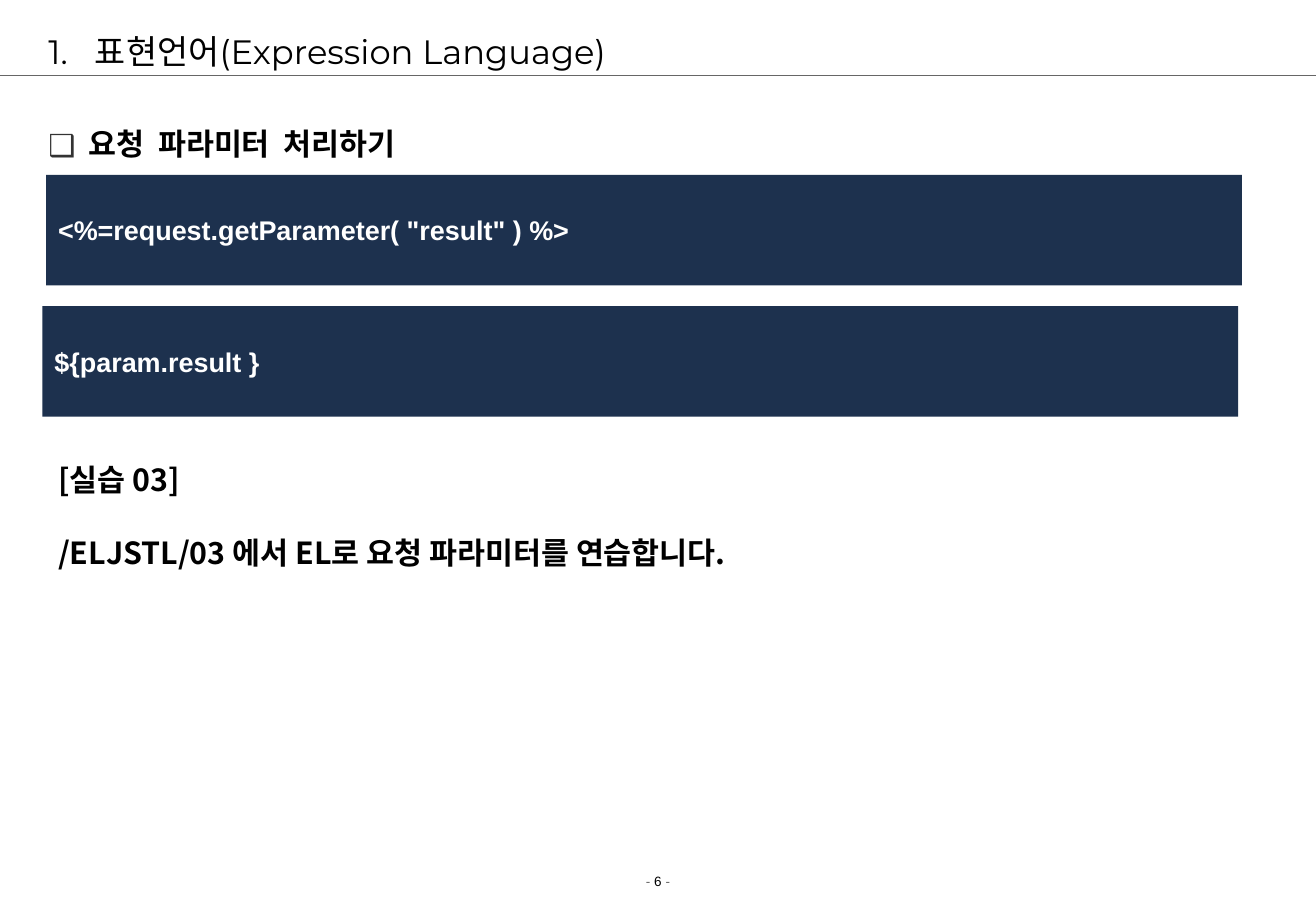
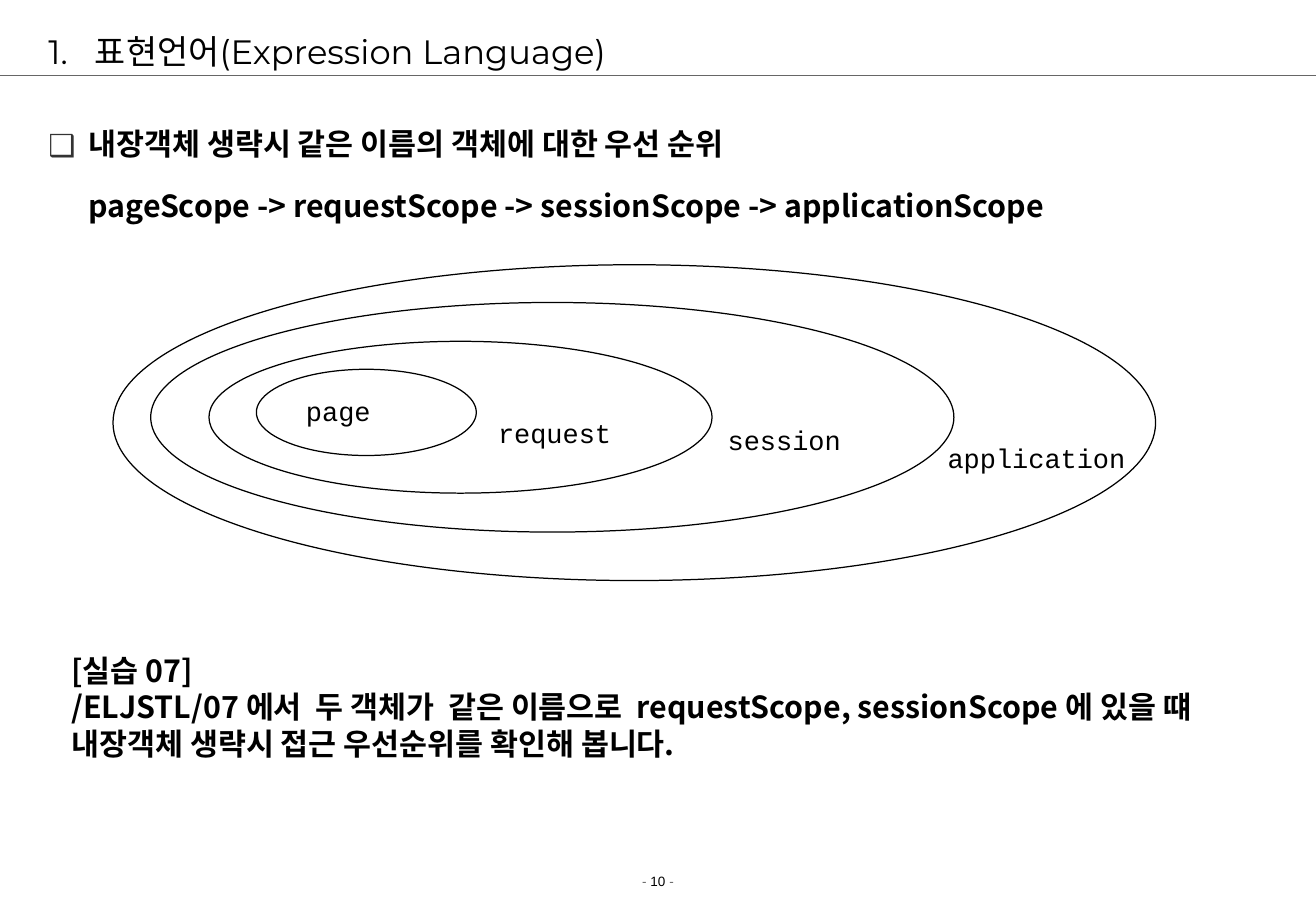
from dataclasses import dataclass

from lxml import etree
from pptx import Presentation
from pptx.dml.color import RGBColor
from pptx.enum.shapes import MSO_CONNECTOR, MSO_SHAPE
from pptx.enum.text import MSO_ANCHOR, PP_ALIGN
from pptx.oxml.ns import qn
from pptx.util import Inches, Pt

LINE = MSO_CONNECTOR.STRAIGHT
RECT, OVAL = MSO_SHAPE.RECTANGLE, MSO_SHAPE.OVAL
TOP, MIDDLE = MSO_ANCHOR.TOP, MSO_ANCHOR.MIDDLE
LEFT, CENTER = PP_ALIGN.LEFT, PP_ALIGN.CENTER


@dataclass(frozen=True)
class Theme:
    width: float = 10.83
    height: float = 7.5
    ink: str = "000000"
    grey: str = "666666"
    bullet: str = "333333"
    panel: str = "1D314E"
    white: str = "FFFFFF"
    hairline: float = 0.75

    def font(self, name, size, color=None, bold=False):
        return {"name": name, "size": Pt(size), "bold": bold, "color": color or self.ink}


T = Theme()
TITLE = T.font("Montserrat", 20)
BODY = T.font("Noto Sans CJK KR", 18, bold=True)
CODE = T.font("Arial", 16, T.white, True)
LABEL = T.font("Courier New", 16)
FOOTER = T.font("Arial", 8)
FOOTER_DASH = T.font("Arial", 8, T.grey)


def rgb(color):
    return RGBColor.from_string(color)


# Text helpers
def add_run(p, text, style):
    r = p.add_run()
    r.text = text
    for key, value in style.items():
        if key == "color":
            r.font.color.rgb = rgb(value)
        else:
            setattr(r.font, key, value)
    etree.SubElement(r.font._element, qn("a:ea"), typeface=style["name"])


def fill_text(tf, lines, style, anchor=TOP, align=LEFT, **spacing):
    """Write one paragraph per line; spacing holds paragraph attributes."""
    tf.word_wrap, tf.vertical_anchor = True, anchor
    for i, line in enumerate(lines):
        p = tf.add_paragraph() if i else tf.paragraphs[0]
        p.alignment = align
        for key, value in spacing.items():
            if i or key != "space_before":
                setattr(p, key, value)
        runs = [(line, style)] if isinstance(line, str) else line
        for text, run_style in runs:
            add_run(p, text, run_style)
    return tf


def add_text(s, box, lines, style, **options):
    sp = s.shapes.add_textbox(*map(Inches, box))
    return fill_text(sp.text_frame, lines, style, **options)


def set_indent(p, margin, bullet=None, color=T.ink):
    """Indent a paragraph; bullet is (tag, attributes) and hangs in the margin."""
    pPr = p._p.get_or_add_pPr()
    pPr.set("marL", str(Inches(margin)))
    pPr.set("indent", str(Inches(-margin if bullet else 0)))
    if bullet:
        tag, attributes = bullet
        clr = etree.SubElement(pPr, qn("a:buClr"))
        etree.SubElement(clr, qn("a:srgbClr"), val=color)
        etree.SubElement(pPr, qn("a:buFont"), typeface=BODY["name"])
        etree.SubElement(pPr, qn(tag), **attributes)


def add_shape(s, kind, box, fill=None, line=None):
    sp = s.shapes.add_shape(kind, *map(Inches, box))
    sp.shadow.inherit = False
    if fill:
        sp.fill.solid()
        sp.fill.fore_color.rgb = rgb(fill)
    else:
        sp.fill.background()
    if line:
        sp.line.color.rgb = rgb(line)
        sp.line.width = Pt(T.hairline)
    else:
        sp.line.fill.background()
    return sp


# Shared frame: footer, rule and numbered title
def add_frame(prs, title, page):
    s = prs.slides.add_slide(prs.slide_layouts[6])
    number = [("- ", FOOTER_DASH), (f"{page} ", FOOTER), ("-", FOOTER_DASH)]
    add_text(s, (0, 7.14, T.width, 0.24), [number], FOOTER, align=CENTER)
    y = Inches(0.62)
    rule = s.shapes.add_connector(LINE, 0, y, Inches(T.width), y)
    rule.line.color.rgb = rgb(T.grey)
    rule.line.width = Pt(T.hairline)
    etree.SubElement(rule._element.spPr, qn("a:effectLst"))
    tf = add_text(s, (0.3, 0.21, 10.17, 0.42), [title], TITLE, anchor=MIDDLE)
    set_indent(tf.paragraphs[0], 0.31, ("a:buAutoNum", {"type": "arabicPeriod"}))
    return s


# Body: a bulleted heading with indented lines below
def add_body(s, lines):
    tf = add_text(s, (0.3, 0.83, 10.17, 5.75), lines, BODY,
                  line_spacing=1.5, space_before=Pt(4.5))
    for i, p in enumerate(tf.paragraphs):
        set_indent(p, 0.33, None if i else ("a:buChar", {"char": "❑"}), T.bullet)


# Code panel
def add_code(s, left, top, code):
    sp = add_shape(s, RECT, (left, top, 9.84, 0.91), fill=T.panel)
    fill_text(sp.text_frame, [code], CODE, anchor=MIDDLE)


# Nested scopes: ovals and labels, relative to the outermost oval's box
def add_scopes(s, left, top, scopes):
    for _, (x, y, w, h), _ in scopes:
        add_shape(s, OVAL, (left + x, top + y, w, h), line=T.ink)
    for name, _, (x, y, w) in scopes:
        add_text(s, (left + x, top + y, w, 0.37), [name], LABEL)


TOPIC = " 표현언어(Expression Language)"
SCOPES = [  # name, oval box, label left / top / width
    ("application", (0, 0, 8.58, 2.6), (6.77, 1.41, 1.69)),
    ("session", (0.31, 0.31, 6.61, 1.89), (4.96, 1.26, 1.15)),
    ("request", (0.79, 0.63, 4.14, 1.25), (3.07, 1.2, 1.15)),
    ("page", (1.18, 0.86, 1.81, 0.71), (1.49, 1.02, 0.74)),
]


def parameter_slide(prs):
    s = add_frame(prs, TOPIC, 6)
    add_body(s, ["요청  파라미터  처리하기"])
    add_code(s, 0.38, 1.44, '<%=request.getParameter( "result" ) %>')
    add_code(s, 0.35, 2.52, "${param.result }")
    add_text(s, (0.38, 3.75, 6.05, 1.31),
             ["[실습 03]", "/ELJSTL/03 에서 EL로 요청 파라미터를 연습합니다."],
             BODY, space_before=Pt(21.6))


def scope_slide(prs):
    s = add_frame(prs, TOPIC, 10)
    add_body(s, ["내장객체 생략시 같은 이름의 객체에 대한 우선 순위",
                 "pageScope -> requestScope -> sessionScope -> applicationScope"])
    add_text(s, (0.49, 5.32, 9.84, 1.01),
             ["[실습 07]",
              "/ELJSTL/07 에서  두 객체가  같은 이름으로  requestScope, sessionScope 에 있을 떄",
              "내장객체 생략시 접근 우선순위를 확인해 봅니다."], BODY)
    add_scopes(s, 0.93, 2.18, SCOPES)


def main():
    prs = Presentation()
    prs.slide_width, prs.slide_height = Inches(T.width), Inches(T.height)
    parameter_slide(prs)
    scope_slide(prs)
    prs.save("out.pptx")


if __name__ == "__main__":
    main()
